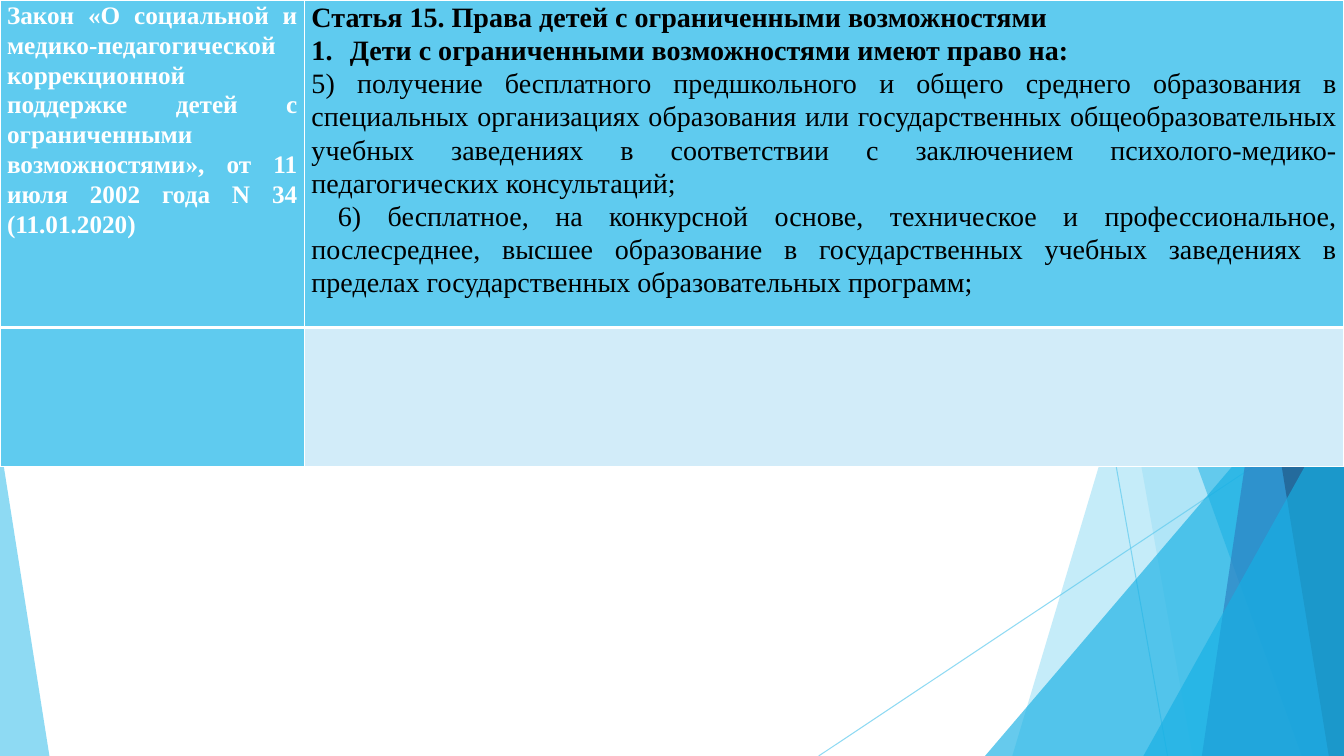
from lxml.etree import SubElement
from pptx import Presentation
from pptx.dml.color import RGBColor
from pptx.enum.shapes import MSO_CONNECTOR, MSO_SHAPE
from pptx.enum.text import MSO_ANCHOR, PP_ALIGN
from pptx.oxml import parse_xml
from pptx.oxml.ns import nsdecls, qn
from pptx.util import Inches, Pt

# Content
LAW = ("Закон «О социальной и медико-педагогической коррекционной поддержке детей "
       "с ограниченными возможностями», от 11 июля 2002 года N 34 (11.01.2020)")
ARTICLE = [  # text, bold, numbered
    ("Статья 15. Права детей с ограниченными возможностями", True, False),
    ("Дети с ограниченными возможностями имеют право на:", True, True),
    ("5) получение бесплатного предшкольного и общего среднего образования в "
     "специальных организациях образования или государственных общеобразовательных "
     "учебных заведениях в соответствии с заключением "
     "психолого-медико-педагогических консультаций;", False, False),
    (" 6) бесплатное, на конкурсной основе, техническое и профессиональное, "
     "послесреднее, высшее образование в государственных учебных заведениях в "
     "пределах государственных образовательных программ;", False, False),
]

WHITE = RGBColor(0xFF, 0xFF, 0xFF)
BLACK = RGBColor(0, 0, 0)
SKY = RGBColor(0x5F, 0xCB, 0xEF)
PALE = RGBColor(0xD2, 0xEC, 0xF9)
CYAN = RGBColor(0x17, 0xB0, 0xE4)
BLUE = RGBColor(0x2E, 0x83, 0xC3)
NAVY = RGBColor(0x22, 0x62, 0x92)

WIDTH, HEIGHT = 13.33, 7.5
COLUMNS, ROWS = (3.02, WIDTH - 3.02), (3.25, 1.38)
FONT = "Times New Roman"

# Decoration: rays, bands reaching the right edge (top x, bottom x), corner triangles
RAYS = [((10.25, 0), (11.58, HEIGHT)), ((WIDTH, 4.03), (8.12, HEIGHT))]
DECOR = [
    ("band", (12.28, 10.04), SKY, 36),
    ("band", (10.5, 11.83), SKY, 20),
    ("corner", (9.77, 3.33, 3.56, 1), CYAN, 66),  # left, top, width, apex
    ("band", (10.21, 12.91), CYAN, 50),
    ("band", (13.03, 11.92), BLUE, 70),
    ("band", (11.96, 13.18), NAVY, 80),
    ("corner", (11.34, 3.93, 1.99, 1), CYAN, 66),
    ("corner", (0, 4.39, 0.49, 0), SKY, 70),
]

deck = Presentation()
deck.slide_width, deck.slide_height = Inches(WIDTH), Inches(HEIGHT)
slide = deck.slides.add_slide(deck.slide_layouts[6])
shapes = slide.shapes


def set_alpha(part, percent):
    color = next(part.iter(qn("a:srgbClr")))
    SubElement(color, qn("a:alpha")).set("val", str(percent * 1000))


def add_band(top_x, bottom_x):
    outline = shapes.build_freeform(Inches(top_x), 0)
    corners = [(WIDTH, 0), (WIDTH, HEIGHT), (bottom_x, HEIGHT)]
    outline.add_line_segments([(Inches(x), Inches(y)) for x, y in corners])
    return outline.convert_to_shape()


def add_corner(left, top, width, apex):
    corner = shapes.add_shape(MSO_SHAPE.ISOSCELES_TRIANGLE, Inches(left), Inches(top),
                              Inches(width), Inches(HEIGHT - top))
    corner.adjustments[0] = apex
    return corner


def set_borders(cell, top, bottom):
    properties = cell._tc.get_or_add_tcPr()
    for place, (side, points) in enumerate(
            [("L", 1), ("R", 1), ("T", top), ("B", bottom)]):
        properties.insert(place, parse_xml(
            f'<a:ln{side} {nsdecls("a")} w="{Pt(points)}"><a:solidFill>'
            f'<a:srgbClr val="{WHITE}"/></a:solidFill></a:ln{side}>'))


def write(paragraph, text, size, color, bold, numbered=False):
    paragraph.text = text
    paragraph.alignment = PP_ALIGN.JUSTIFY
    paragraph.line_spacing = 1.07
    font = paragraph.runs[0].font
    font.name, font.size, font.bold = FONT, Pt(size), bold
    font.color.rgb = color
    if numbered:
        properties = paragraph._p.get_or_add_pPr()
        properties.set("marL", str(Inches(0.38)))
        properties.set("indent", str(Inches(-0.38)))
        SubElement(properties, qn("a:buFont")).set("typeface", "+mj-lt")
        SubElement(properties, qn("a:buAutoNum")).set("type", "arabicPeriod")


# Rays
for start, end in RAYS:
    ray = shapes.add_connector(MSO_CONNECTOR.STRAIGHT,
                               *(Inches(value) for value in start + end))
    ray.line.color.rgb = SKY
    ray.line.width = Pt(0.75)
    set_alpha(ray.line._ln, 70)
    SubElement(ray._element.spPr, qn("a:effectLst"))

# Bands and corners
for kind, geometry, color, opacity in DECOR:
    facet = (add_band if kind == "band" else add_corner)(*geometry)
    facet.shadow.inherit = False
    facet.fill.solid()
    facet.fill.fore_color.rgb = color
    facet.line.fill.background()
    set_alpha(facet._element.spPr, opacity)

# Table of the law and its article
table = shapes.add_table(len(ROWS), len(COLUMNS), 0, 0,
                         Inches(WIDTH), Inches(sum(ROWS))).table
table.first_row = table.horz_banding = False
for column, width in zip(table.columns, COLUMNS):
    column.width = Inches(width)
for row, height in zip(table.rows, ROWS):
    row.height = Inches(height)

fills = [[SKY, SKY], [SKY, PALE]]
borders = [(1, 3), (3, 1)]
for r, row_fills in enumerate(fills):
    for c, color in enumerate(row_fills):
        cell = table.cell(r, c)
        cell.margin_left = cell.margin_right = Inches(0.07)
        cell.margin_top = cell.margin_bottom = 0
        cell.vertical_anchor = MSO_ANCHOR.TOP
        cell.fill.solid()
        cell.fill.fore_color.rgb = color
        set_borders(cell, *borders[r])

write(table.cell(0, 0).text_frame.paragraphs[0], LAW, 18, WHITE, True)
article = table.cell(0, 1).text_frame
for i, (text, bold, numbered) in enumerate(ARTICLE):
    paragraph = article.add_paragraph() if i else article.paragraphs[0]
    write(paragraph, text, 20, BLACK, bold, numbered)

deck.save("out.pptx")
